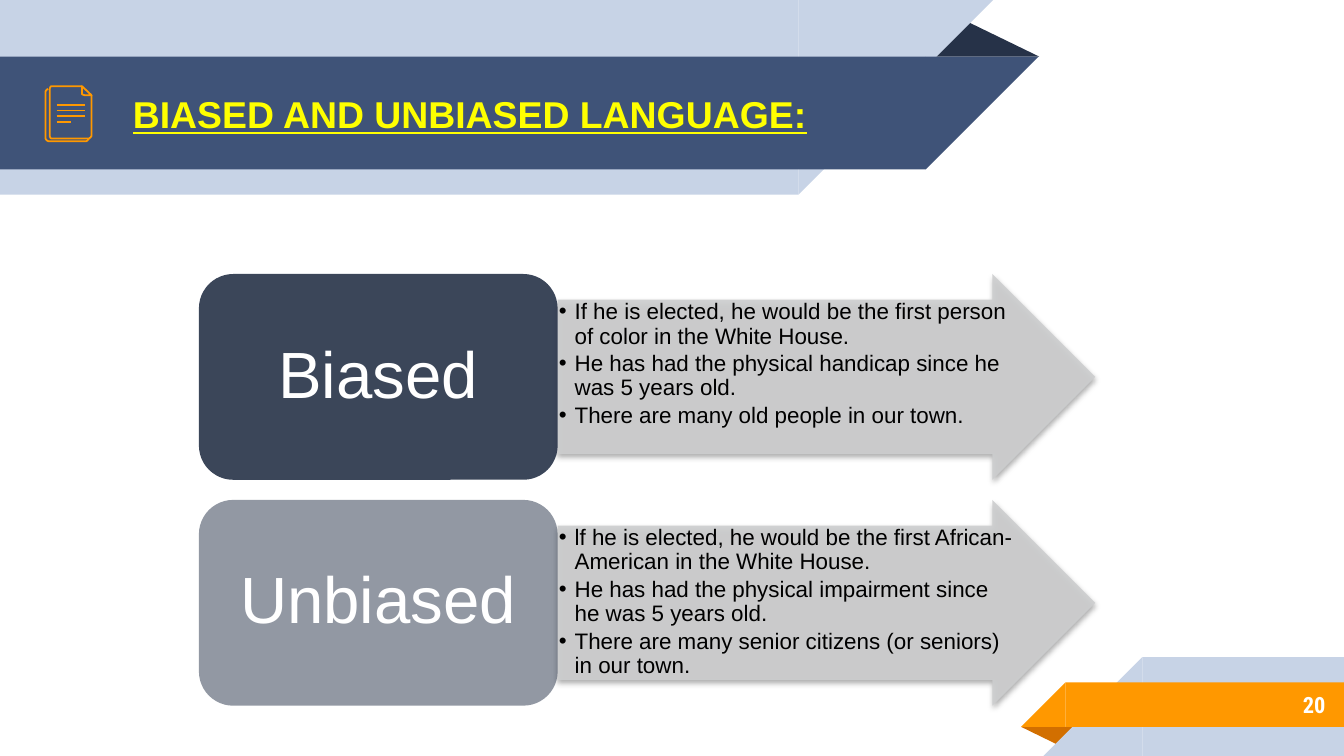
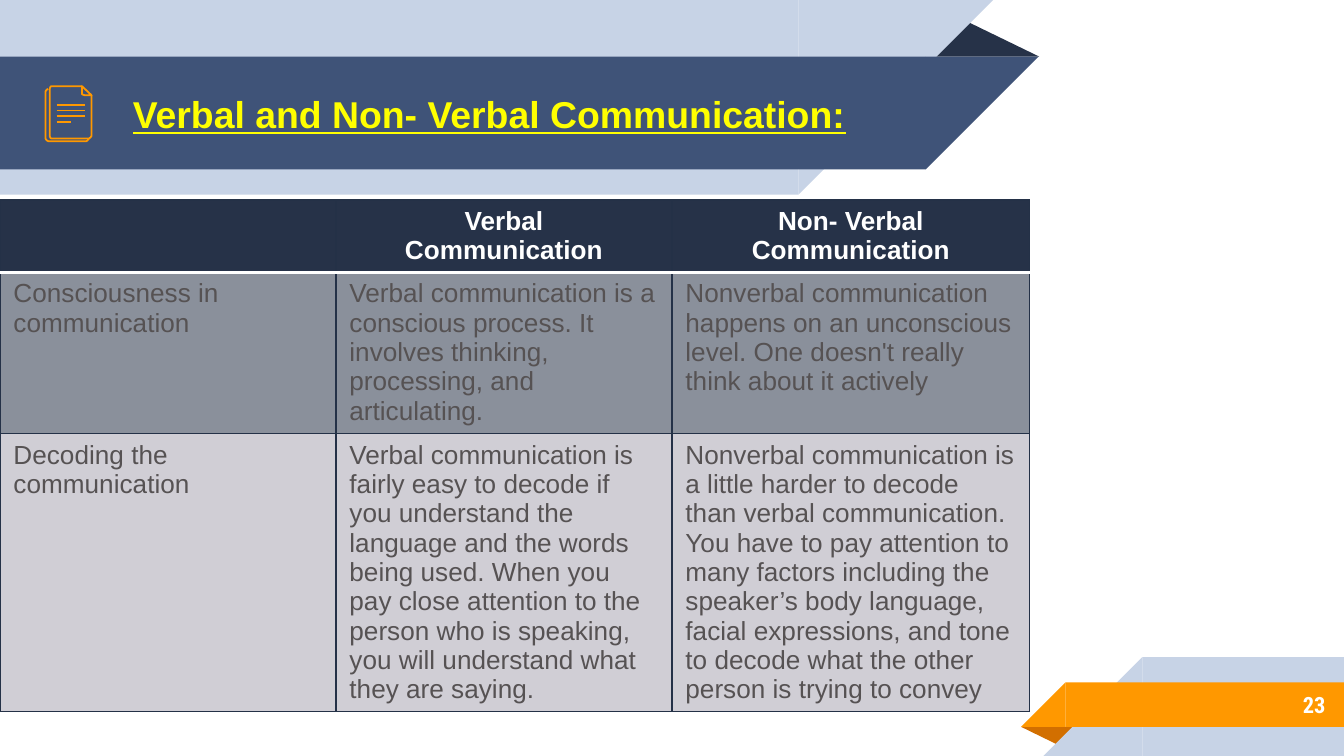
from lxml import etree
from pptx import Presentation
from pptx.dml.color import RGBColor
from pptx.enum.shapes import MSO_CONNECTOR as Link, MSO_SHAPE as Preset
from pptx.enum.text import MSO_ANCHOR as Anchor, MSO_AUTO_SIZE as AutoSize, PP_ALIGN as Align
from pptx.oxml.ns import qn
from pptx.util import Cm, Pt

NAVY = RGBColor(0x26, 0x32, 0x48)
BLUE = RGBColor(0x3F, 0x53, 0x78)
PALE = RGBColor(0xC7, 0xD3, 0xE6)
ORANGE = RGBColor(0xFF, 0x98, 0x00)
RUST = RGBColor(0xD2, 0x6F, 0x00)
YELLOW = RGBColor(0xFF, 0xFF, 0x00)
WHITE = RGBColor(0xFF, 0xFF, 0xFF)
BLACK = RGBColor(0x00, 0x00, 0x00)
SILVER = RGBColor(0xCD, 0xCE, 0xCF)
BORDER = RGBColor(0x24, 0x31, 0x47)
ROW_DARK = RGBColor(0x8A, 0x90, 0x9B)
ROW_LIGHT = RGBColor(0xD0, 0xCE, 0xD5)
CELL_TEXT = RGBColor(0x56, 0x52, 0x53)

TITLE_ONLY, TWO_CONTENT = 5, 3


def child(parent, tag, **attributes):
    element = etree.SubElement(parent, qn(tag))
    for key, value in attributes.items():
        element.set(key, str(value))
    return element


def write(frame, text, size=14, color=BLACK, font="Arial", bold=False, underline=False,
          align=Align.LEFT, anchor=None, margins=None, bullet=False, line=1.0, after=0):
    """Fill a text frame, one paragraph per line of text."""
    frame.text = text
    frame.word_wrap = True
    frame.auto_size = AutoSize.NONE
    if anchor is not None:
        frame.vertical_anchor = anchor
    if margins:
        across, down = (Cm(m) for m in margins)
        frame.margin_left = frame.margin_right = across
        frame.margin_top = frame.margin_bottom = down
    for paragraph in frame.paragraphs:
        if bullet:
            paragraph.level = 1
            properties = paragraph._p.get_or_add_pPr()
            properties.set("marL", str(Cm(0.3)))
            properties.set("indent", str(-Cm(0.3)))
            child(child(properties, "a:buClr"), "a:srgbClr", val=color)
            child(properties, "a:buFont", typeface="Arial")
            child(properties, "a:buChar", char="•")
        paragraph.alignment = align
        paragraph.line_spacing = line
        paragraph.space_before = Pt(0)
        paragraph.space_after = Pt(after)
        for run in paragraph.runs:
            run.font.name = font
            run.font.size = Pt(size)
            run.font.bold = bold
            run.font.underline = underline
            run.font.color.rgb = color


class Deck:
    """Holds the shared style and the slide being built."""

    def __init__(self):
        self.prs = Presentation()
        self.prs.slide_width, self.prs.slide_height = Cm(25.4), Cm(14.29)
        self.slide = None

    def start(self, layout, title, number):
        self.slide = self.prs.slides.add_slide(self.prs.slide_layouts[layout])
        self.header()
        self.footer(number)
        heading = self.slide.shapes.title
        self.place(heading, 2.26, 1.09, 14.6, 2.13)
        write(heading.text_frame, title, size=20, color=YELLOW, bold=True, underline=True,
              anchor=Anchor.MIDDLE, margins=(0.25, 0.25))
        self.page_icon()

    def place(self, holder, x, y, w, h):
        """Move a placeholder and bring it to the front."""
        holder.left, holder.top, holder.width, holder.height = Cm(x), Cm(y), Cm(w), Cm(h)
        holder.element.getparent().append(holder.element)

    def shape(self, preset, x, y, w, h, color, opacity=100, flip=False, turn=0, adjust=()):
        shape = self.slide.shapes.add_shape(preset, Cm(x), Cm(y), Cm(w), Cm(h))
        shape.shadow.inherit = False
        shape.line.fill.background()
        shape.fill.solid()
        shape.fill.fore_color.rgb = color
        shape.rotation = turn
        for i, value in enumerate(adjust):
            shape.adjustments[i] = value
        properties = shape.element.spPr
        if flip:
            properties.find(qn("a:xfrm")).set("flipH", "1")
        if opacity < 100:
            tint = properties.find(qn("a:solidFill")).find(qn("a:srgbClr"))
            child(tint, "a:alpha", val=opacity * 1000)
        return shape

    def line(self, x1, x2, y):
        line = self.slide.shapes.add_connector(Link.STRAIGHT, Cm(x1), Cm(y), Cm(x2), Cm(y))
        line.line.color.rgb = ORANGE
        line.line.width = Pt(0.96)
        child(line.element.spPr, "a:effectLst")

    def outline(self, points, close=False):
        """Draw an unfilled outline; points are in hundredths of a centimetre."""
        builder = self.slide.shapes.build_freeform(*points[0], scale=Cm(0.01))
        builder.add_line_segments(points[1:], close=close)
        outline = builder.convert_to_shape()
        outline.shadow.inherit = False
        outline.fill.background()
        outline.line.color.rgb = ORANGE
        outline.line.width = Pt(0.96)

    # Shared parts
    def header(self):
        self.shape(Preset.ISOSCELES_TRIANGLE, 17.48, 0.36, 2.16, 0.71, NAVY, adjust=[0.324])
        for y, width, height, color in ((0, 15.09, 3.68, PALE), (1.07, 17.5, 2.13, BLUE)):
            self.shape(Preset.RECTANGLE, 0, y, width, height, color, flip=True, turn=180)
            self.shape(Preset.RIGHT_TRIANGLE, width, y, height, height, color,
                       flip=True, turn=180)

    def footer(self, number):
        self.shape(Preset.ISOSCELES_TRIANGLE, 19.3, 13.74, 1.09, 0.36, RUST,
                   turn=180, adjust=[0.324])
        for x, y, height, color in ((21.59, 12.42, 1.87, PALE), (20.14, 12.9, 0.84, ORANGE)):
            self.shape(Preset.RECTANGLE, x, y, 25.4 - x, height, color, flip=True)
            self.shape(Preset.RIGHT_TRIANGLE, x - height, y, height, height, color, flip=True)
        box = self.slide.shapes.add_textbox(Cm(21.16), Cm(12.88), Cm(4.14), Cm(0.89))
        write(box.text_frame, number, size=12, color=WHITE, font="Roboto Condensed", bold=True,
              align=Align.RIGHT, anchor=Anchor.MIDDLE, margins=(0.25, 0.25))

    def page_icon(self):
        self.outline([(168, 262), (165, 266), (163, 267), (91, 267), (88, 265),
                      (86, 262), (86, 173), (88, 170), (91, 168)])
        self.outline([(173, 180), (173, 257), (171, 260), (168, 262), (97, 262), (95, 260),
                      (94, 257), (94, 168), (95, 165), (97, 163), (155, 163)])
        for i, end in enumerate((1.6, 1.6, 1.6, 1.35)):
            self.line(1.07, end, 1.98 + 0.11 * i)
        self.outline([(155, 178), (155, 163), (173, 180), (160, 180), (157, 179)], close=True)

    # Content parts
    def example_row(self, y, label, opacity, examples, holder):
        arrow = self.shape(Preset.RIGHT_ARROW, 10.54, y, 10.16, 3.89, SILVER, 90,
                           adjust=(0.75, 0.5))
        shadow = child(arrow.element.spPr.find(qn("a:effectLst")), "a:outerShdw",
                       blurRad=Pt(3.1), dist=Pt(1.8), dir=90 * 60000, rotWithShape=0)
        child(child(shadow, "a:srgbClr", val=BLACK), "a:alpha", val=35000)
        self.place(holder, 10.54, y + 0.48, 8.71, 2.9)
        write(holder.text_frame, "\n".join(examples), size=12, anchor=Anchor.TOP,
              margins=(0.02, 0.02), bullet=True, line=0.9, after=1.8)
        card = self.shape(Preset.ROUNDED_RECTANGLE, 3.76, y, 6.78, 3.89, NAVY, opacity)
        write(card.text_frame, label, size=35, color=WHITE, align=Align.CENTER,
              anchor=Anchor.MIDDLE, margins=(0.38, 0.18), line=0.9)

    def border(self, cell, side, color, width):
        edge = child(cell._tc.get_or_add_tcPr(), f"a:ln{side}", w=Pt(width))
        child(child(edge, "a:solidFill"), "a:srgbClr", val=color)

    def table(self, x, y, widths, heights, rows):
        table = self.slide.shapes.add_table(len(rows), len(widths), Cm(x), Cm(y),
                                            Cm(sum(widths)), Cm(sum(heights))).table
        table.horz_banding = False
        for column, width in zip(table.columns, widths):
            column.width = Cm(width)
        for row, height in zip(table.rows, heights):
            row.height = Cm(height)
        for r, (texts, fill) in enumerate(zip(rows, (NAVY, ROW_DARK, ROW_LIGHT))):
            head = r == 0
            for c, text in enumerate(texts):
                cell = table.cell(r, c)
                write(cell.text_frame, text, color=WHITE if head else CELL_TEXT, bold=head,
                      align=Align.CENTER if head else Align.LEFT)
                for side in "LRTB":
                    if (r, side) in ((0, "B"), (1, "T")):
                        self.border(cell, side, WHITE, 2)
                    else:
                        self.border(cell, side, BORDER, 0.75)
                cell.fill.solid()
                cell.fill.fore_color.rgb = fill


def main():
    deck = Deck()

    # Biased and unbiased examples
    deck.start(TWO_CONTENT, "BIASED AND UNBIASED LANGUAGE:", "20")
    biased = ["If he is elected, he would be the first person of color in the White House.",
              "He has had the physical handicap since he was 5 years old.",
              "There are many old people in our town."]
    unbiased = ["lf he is elected, he would be the first African-American in the White House.",
                "He has had the physical impairment since he was 5 years old.",
                "There are many senior citizens (or seniors) in our town."]
    holders = deck.slide.placeholders
    deck.example_row(5.18, "Biased", 90, biased, holders[1])
    deck.example_row(9.45, "Unbiased", 50, unbiased, holders[2])

    # Comparison table
    deck.start(TITLE_ONLY, "Verbal and Non- Verbal Communication:", "23")
    deck.table(0, 3.78, (6.35, 6.35, 6.76), (1.35, 3.05, 5.25), [
        ("", "Verbal\nCommunication", "Non- Verbal\nCommunication"),
        ("Consciousness in communication",
         "Verbal communication is a conscious process. It involves thinking, processing, "
         "and articulating.",
         "Nonverbal communication happens on an unconscious level. One doesn't really "
         "think about it actively"),
        ("Decoding the communication",
         "Verbal communication is fairly easy to decode if you understand the language and "
         "the words being used. When you pay close attention to the person who is speaking, "
         "you will understand what they are saying.",
         "Nonverbal communication is a little harder to decode than verbal communication. "
         "You have to pay attention to many factors including the speaker’s body language, "
         "facial expressions, and tone to decode what the other person is trying to convey"),
    ])

    deck.prs.save("out.pptx")


if __name__ == "__main__":
    main()
